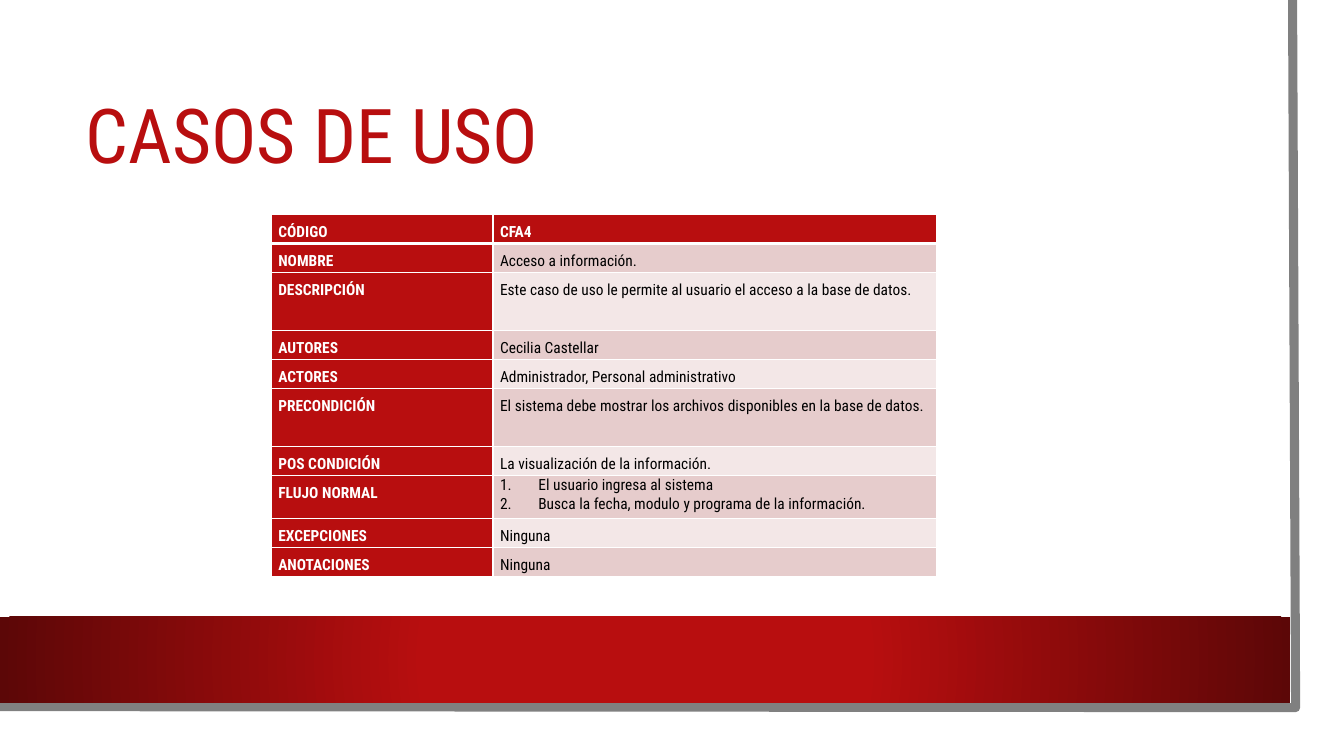
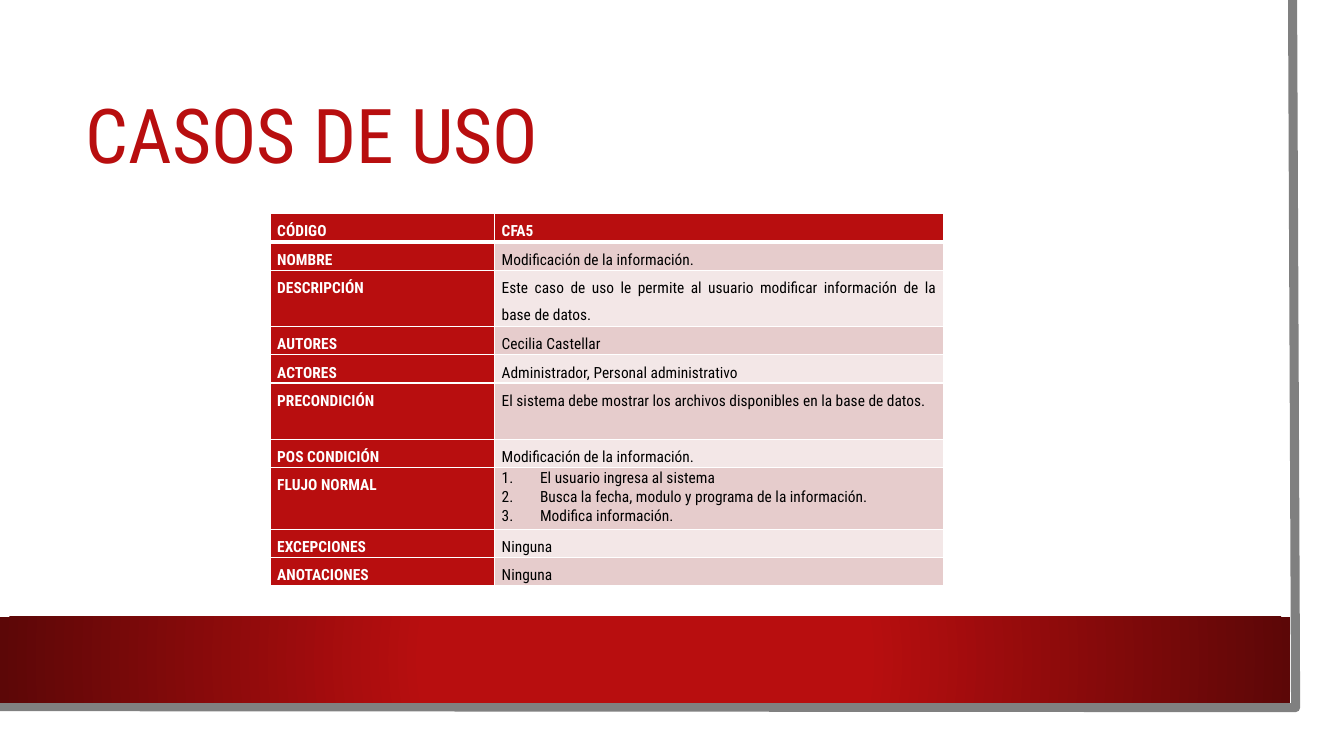
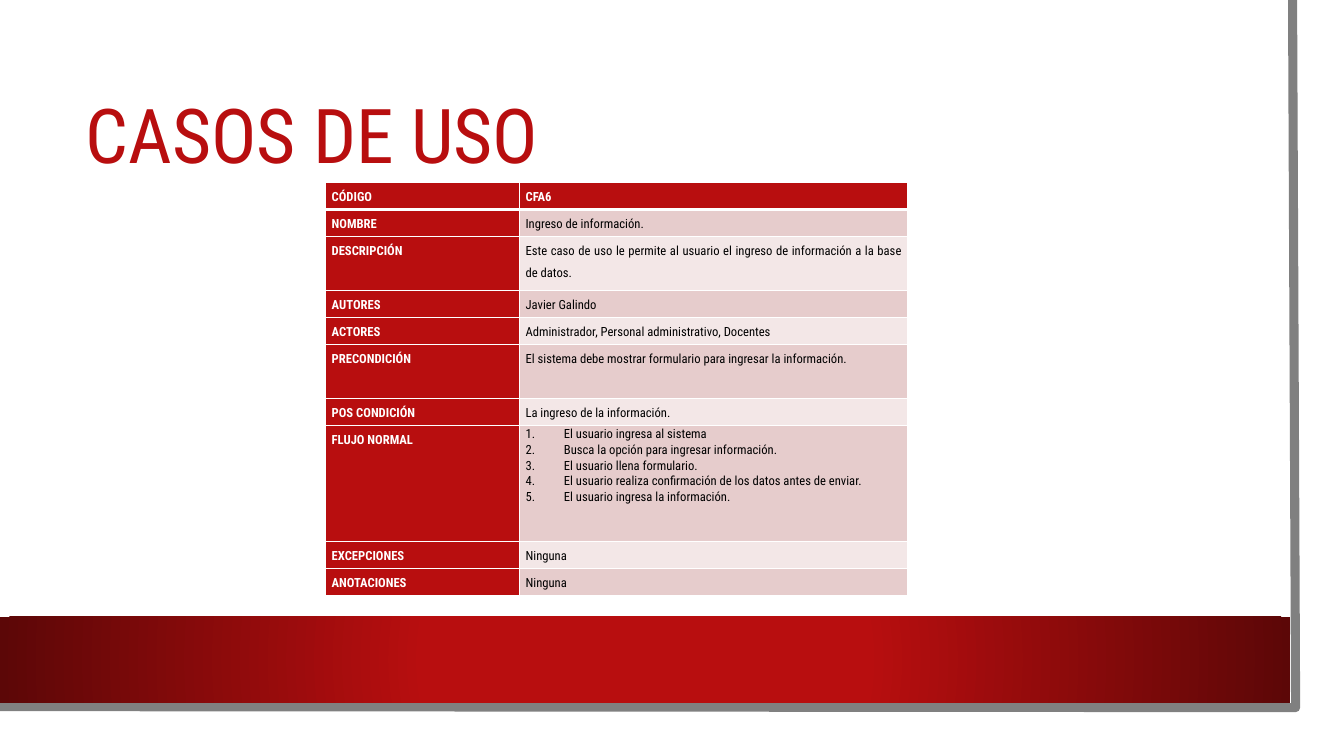
from lxml import etree
from pptx import Presentation
from pptx.dml.color import RGBColor
from pptx.enum import shapes, text
from pptx.oxml import ns, parse_xml
from pptx.util import Inches, Pt

FONT = "Roboto Condensed"
COLORS = {
    "red": "B80E0F",
    "dark_red": "5C0707",
    "gray": "808080",
    "white": "FFFFFF",
    "black": "000000",
    "band_dark": "E6CCCC",
    "band_light": "F3E7E7",
}
LABELS = ["CÓDIGO", "NOMBRE", "DESCRIPCIÓN", "AUTORES", "ACTORES", "PRECONDICIÓN",
          "POS CONDICIÓN", "FLUJO NORMAL", "EXCEPCIONES", "ANOTACIONES"]
TALL_ROWS = ("DESCRIPCIÓN", "PRECONDICIÓN")
FLOW = "FLUJO NORMAL"

# box: left, top, width, height of the table; values follow the order of LABELS
USE_CASES = [
    {"box": (2.69, 2.13, 6.6, 3.59), "flow_height": 0.43, "size": 11, "margin": 0.07,
     "values": [
         "CFA4",
         "Acceso a información.",
         "Este caso de uso le permite al usuario el acceso a la base de datos.",
         "Cecilia Castellar",
         "Administrador, Personal administrativo",
         "El sistema debe mostrar los archivos disponibles en la base de datos.",
         "La visualización de la información.",
         "El usuario ingresa al sistema\n"
         "Busca la fecha, modulo y programa de la información.",
         "Ninguna",
         "Ninguna"]},
    {"box": (2.68, 2.12, 6.68, 3.69), "flow_height": 0.61, "size": 11, "margin": 0.07,
     "values": [
         "CFA5",
         "Modificación de la información.",
         "Este caso de uso le permite al usuario modificar información de la base de datos.",
         "Cecilia Castellar",
         "Administrador, Personal administrativo",
         "El sistema debe mostrar los archivos disponibles en la base de datos.",
         "Modificación de la información.",
         "El usuario ingresa al sistema\n"
         "Busca la fecha, modulo y programa de la información.\n"
         "Modifica información.",
         "Ninguna",
         "Ninguna"]},
    {"box": (3.23, 1.81, 5.77, 4.1), "flow_height": 1.15, "size": 9, "margin": 0.06,
     "values": [
         "CFA6",
         "Ingreso de información.",
         "Este caso de uso le permite al usuario el ingreso de información a la base de datos.",
         "Javier Galindo",
         "Administrador, Personal administrativo, Docentes",
         "El sistema debe mostrar formulario para ingresar la información.",
         "La ingreso de la información.",
         "El usuario ingresa al sistema\n"
         "Busca la opción para ingresar información.\n"
         "El usuario llena formulario.\n"
         "El usuario realiza confirmación de los datos antes de enviar.\n"
         "El usuario ingresa la información.",
         "Ninguna",
         "Ninguna"]},
]


def rgb(name):
    return RGBColor.from_string(COLORS[name])


def style_cell(cell, fill, color, bold, case, bottom_width, numbered):
    """Apply margins, white borders, fill and paragraph format to a filled-in cell."""
    cell.margin_left = cell.margin_right = Inches(case["margin"])
    cell.margin_top = cell.margin_bottom = 0
    tc_pr = cell._tc.get_or_add_tcPr()
    for side, width in (("L", 1), ("R", 1), ("T", 1), ("B", bottom_width)):
        tc_pr.append(parse_xml(
            f'<a:ln{side} {ns.nsdecls("a")} w="{Pt(width)}"><a:solidFill>'
            f'<a:srgbClr val="{COLORS["white"]}"/></a:solidFill></a:ln{side}>'))
    cell.fill.solid()
    cell.fill.fore_color.rgb = rgb(fill)
    for p in cell.text_frame.paragraphs:
        p.line_spacing = 1.07 if numbered else 1.5
        if numbered:
            p_pr = p._p.get_or_add_pPr()
            p_pr.set("marL", str(Inches(0.38)))
            p_pr.set("indent", str(-Inches(0.38)))
            etree.SubElement(p_pr, ns.qn("a:buAutoNum"), type="arabicPeriod")
        else:
            p.alignment = text.PP_ALIGN.JUSTIFY
        for r in p.runs:
            r.font.name = FONT
            r.font.size = Pt(case["size"])
            r.font.bold = bold
            r.font.color.rgb = rgb(color)


prs = Presentation()
prs.slide_width, prs.slide_height = Inches(13.33), Inches(7.5)
layout = prs.slide_layouts[5]
for ph in list(layout.placeholders):
    if ph.placeholder_format.idx != 0:
        ph.element.getparent().remove(ph.element)

for case in USE_CASES:
    s = prs.slides.add_slide(layout)
    title = s.shapes.title
    title.left, title.top = Inches(0.75), Inches(0.75)
    title.width, title.height = Inches(11.37), Inches(1.26)
    tf = title.text_frame
    tf.text = "CASOS DE USO"
    tf.auto_size = text.MSO_AUTO_SIZE.NONE
    tf.vertical_anchor = text.MSO_ANCHOR.MIDDLE
    p = tf.paragraphs[0]
    p.alignment = text.PP_ALIGN.LEFT
    p.line_spacing = 0.9
    font = p.runs[0].font
    font.name, font.size = FONT, Pt(54)
    font.color.rgb = rgb("red")

    left, top, width, height = case["box"]
    line_height = (height - case["flow_height"]) / (len(LABELS) - 1 + len(TALL_ROWS))
    table = s.shapes.add_table(len(LABELS), 2, Inches(left), Inches(top),
                               Inches(width), Inches(height)).table
    table.first_col = True
    table.columns[0].width = Inches(width / 3)
    table.columns[1].width = Inches(width * 2 / 3)
    for i, (label, value) in enumerate(zip(LABELS, case["values"])):
        row_height = line_height * (2 if label in TALL_ROWS else 1)
        if label == FLOW:
            row_height = case["flow_height"]
        table.rows[i].height = Inches(row_height)
        header = i == 0
        bottom_width = 3 if header else 1
        label_cell, value_cell = table.cell(i, 0), table.cell(i, 1)
        label_cell.text_frame.text = label
        value_cell.text_frame.text = value
        band = "band_dark" if i % 2 else "band_light"
        style_cell(label_cell, "red", "white", True, case, bottom_width, False)
        style_cell(value_cell, "red" if header else band, "white" if header else "black",
                   header, case, bottom_width, label == FLOW)

# The frame is drawn on the first slide, then moved to the layout behind the title
canvas = prs.slides[0].shapes
page = canvas.add_shape(shapes.MSO_SHAPE.RECTANGLE, 0, 0, Inches(13.1), Inches(7.27))
page.fill.solid()
page.fill.fore_color.rgb = rgb("white")
page.line.fill.background()

builder = canvas.build_freeform(Inches(12.82), 0)
builder.add_line_segments([(Inches(12.85), Inches(7.02)), (Inches(-0.03), Inches(7.01))],
                          close=False)
edge = builder.convert_to_shape()
edge.fill.background()
edge.line.color.rgb = rgb("gray")
edge.line.width = Pt(6.5)

band = canvas.add_shape(shapes.MSO_SHAPE.RECTANGLE, 0, Inches(6.12), Inches(12.8), Inches(0.85))
band.line.fill.background()
band.element.spPr.find(ns.qn("a:prstGeom")).addnext(parse_xml(
    f'<a:gradFill {ns.nsdecls("a")} rotWithShape="1"><a:gsLst>'
    f'<a:gs pos="34000"><a:srgbClr val="{COLORS["red"]}"/></a:gs>'
    f'<a:gs pos="100000"><a:srgbClr val="{COLORS["dark_red"]}"/></a:gs></a:gsLst>'
    '<a:path path="circle"><a:fillToRect l="50000" t="50000" r="50000" b="50000"/></a:path>'
    '</a:gradFill>'))

for i, sp in enumerate((page, edge, band)):
    sp.shadow.inherit = False
    layout.shapes.element.insert(2 + i, sp.element)

prs.save("out.pptx")
